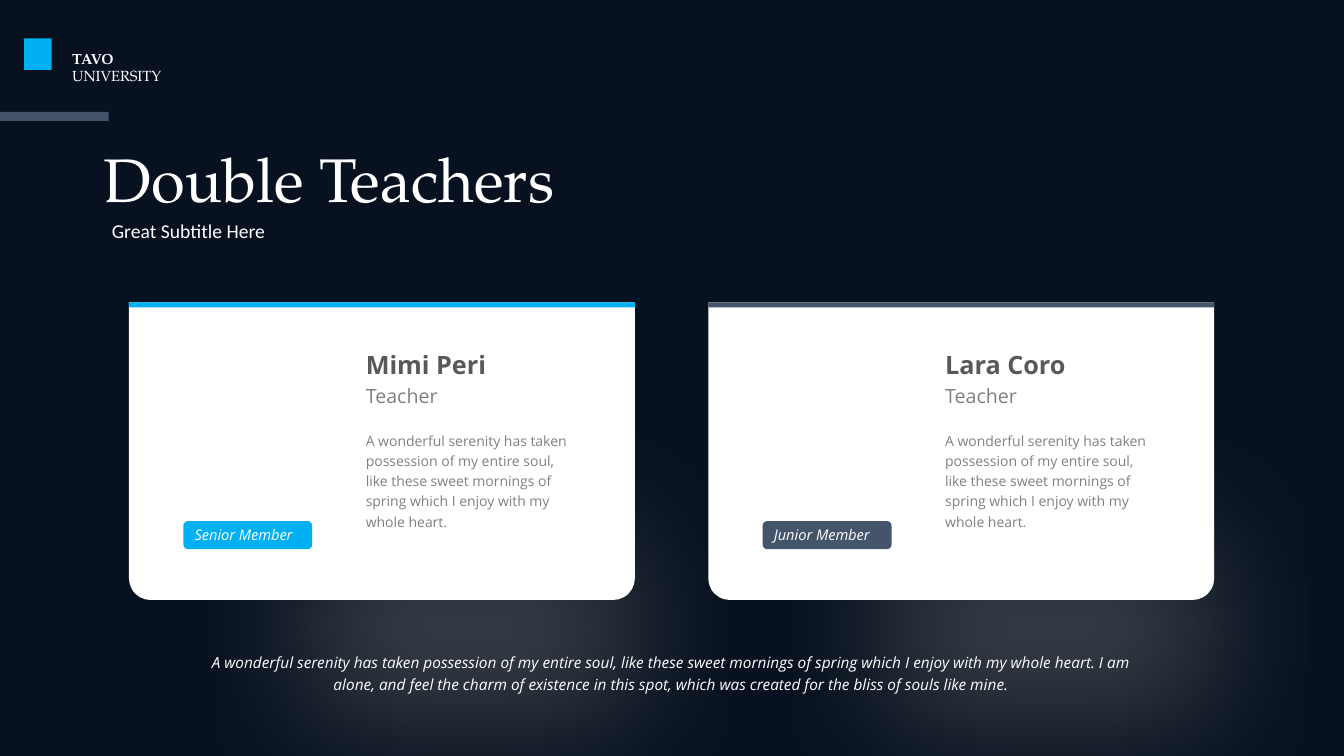
from lxml import etree
from pptx import Presentation
from pptx.dml.color import RGBColor
from pptx.enum import shapes, text
from pptx.oxml import ns
from pptx.util import Cm, Pt

NIGHT = RGBColor(0x07, 0x11, 0x1F)
WHITE = RGBColor(0xFF, 0xFF, 0xFF)
SKY = RGBColor(0x00, 0xB0, 0xF0)
SLATE = RGBColor(0x44, 0x54, 0x6A)
CHARCOAL = RGBColor(0x59, 0x59, 0x59)
GRAY = RGBColor(0x80, 0x80, 0x80)

SERIF, SANS, PLAIN = "TeX Gyre Pagella", "Open Sans", "Calibri"
SERENITY = (
    "A wonderful serenity has taken possession of my entire soul, "
    "like these sweet mornings of spring which I enjoy with my whole heart."
)
CHARM = (
    " I am alone, and feel the charm of existence in this spot, "
    "which was created for the bliss of souls like mine."
)
TEACHERS = [
    ("Mimi Peri", "Senior Member", SKY),
    ("Lara Coro", "Junior Member", SLATE),
]


def write(para, wording, name, size, color, **styles):
    """Add a formatted span to a paragraph."""
    span = para.add_run()
    span.text = wording
    span.font.color.rgb = color
    for key, value in dict(styles, name=name, size=Pt(size)).items():
        setattr(span.font, key, value)


def add_label(page, box, wording, name, size, color, spacing=1.0,
              align=text.PP_ALIGN.LEFT, **styles):
    """Place a wrapping text box holding one paragraph."""
    frame = page.shapes.add_textbox(*map(Cm, box)).text_frame
    frame.word_wrap = True
    para = frame.paragraphs[0]
    para.alignment = align
    para.line_spacing = spacing
    write(para, wording, name, size, color, **styles)
    return para


def add_block(page, kind, box, color):
    """Place a filled preset shape without outline or shadow."""
    block = page.shapes.add_shape(kind, *map(Cm, box))
    block.shadow.inherit = False
    block.fill.solid()
    block.fill.fore_color.rgb = color
    block.line.fill.background()
    return block


def add_glow(block):
    """Give a shape a wide, soft shadow below it."""
    effects = block._element.spPr.find(ns.qn("a:effectLst"))
    values = dict(blurRad=Pt(100), dist=Pt(88), dir=5400000,
                  sx=65000, sy=65000, algn="br", rotWithShape=0)
    shadow = etree.SubElement(effects, ns.qn("a:outerShdw"),
                              {key: str(value) for key, value in values.items()})
    tint = etree.SubElement(shadow, ns.qn("a:srgbClr"), val=str(GRAY))
    etree.SubElement(tint, ns.qn("a:alpha"), val="40000")


def add_badge(page, box, wording, color):
    """Place a rounded membership badge."""
    badge = add_block(page, shapes.MSO_SHAPE.ROUNDED_RECTANGLE, box, color)
    frame = badge.text_frame
    settings = dict(margin_left=Cm(0.25), margin_right=0, margin_top=0, margin_bottom=0,
                    vertical_anchor=text.MSO_ANCHOR.MIDDLE, word_wrap=True)
    for key, value in settings.items():
        setattr(frame, key, value)
    para = frame.paragraphs[0]
    para.alignment = text.PP_ALIGN.LEFT
    write(para, wording, SANS, 10.5, WHITE, italic=True)


def add_card(page, box, teacher):
    """Build one teacher card inside its box."""
    name, member, accent = teacher
    left, top, width, height = box
    panel = add_block(page, shapes.MSO_SHAPE.ROUND_2_SAME_RECTANGLE, box, WHITE)
    panel.adjustments[0], panel.adjustments[1] = 0, 0.073
    add_glow(panel)
    add_block(page, shapes.MSO_SHAPE.RECTANGLE, (left, top, width, 0.13), accent)
    column = left + 5.72
    add_label(page, (column, top + 1.07, 5.56, 1.02), name, SANS, 18, CHARCOAL, bold=True)
    add_label(page, (column, top + 1.93, 5.56, 0.86), "Teacher", SANS, 14, GRAY)
    add_label(page, (column, top + 3.07, 5.82, 2.79), SERENITY, SANS, 10, GRAY, 1.2)
    add_badge(page, (left + 1.37, top + 5.51, 3.25, 0.71), member, accent)


def add_brand(page, box):
    """Place the school emblem and its name."""
    left, top, width, height = box
    add_block(page, shapes.MSO_SHAPE.RECTANGLE, (left, top, 0.69, height), SKY)
    para = add_label(page, (left + 0.96, top + 0.15, width - 0.96, 0.71),
                     "TAVO", SERIF, 10.5, WHITE, bold=True)
    para.add_line_break()
    write(para, "UNIVERSITY", SERIF, 10.5, WHITE)


def add_heading(page, box):
    """Place the accent bar, title and subtitle."""
    left, top, width, height = box
    add_block(page, shapes.MSO_SHAPE.RECTANGLE, (0, top - 0.23, 2.74, 0.23), SLATE)
    title = page.shapes.title
    for key, value in zip(("left", "top", "width", "height"), box):
        setattr(title, key, Cm(value))
    frame = title.text_frame
    frame.vertical_anchor = text.MSO_ANCHOR.MIDDLE
    frame.auto_size = text.MSO_AUTO_SIZE.NONE
    para = frame.paragraphs[0]
    para.alignment = text.PP_ALIGN.LEFT
    write(para, "Double Teachers", SERIF, 44, WHITE)
    add_label(page, (left + 0.21, top + 2.33, 9.2, 0.86),
              "Great Subtitle Here", PLAIN, 14, WHITE)


def build_teachers(deck):
    """Compose the slide with two teachers."""
    page = deck.slides.add_slide(deck.slide_layouts.get_by_name("Title Only"))
    page.background.fill.solid()
    page.background.fill.fore_color.rgb = NIGHT
    for index, teacher in enumerate(TEACHERS):
        add_card(page, (3.25 + index * 14.6, 7.62, 12.75, 7.5), teacher)
    add_brand(page, (0.61, 0.97, 4.8, 0.79))
    add_heading(page, (2.36, 3.05, 15.27, 2.87))
    add_label(page, (4.9, 16.23, 24.05, 1.35), SERENITY + CHARM, SANS, 11, WHITE,
              1.2, text.PP_ALIGN.CENTER, italic=True)


def main():
    """Create and save the deck."""
    deck = Presentation()
    deck.slide_width, deck.slide_height = Cm(33.87), Cm(19.05)
    build_teachers(deck)
    deck.save("out.pptx")


if __name__ == "__main__":
    main()
